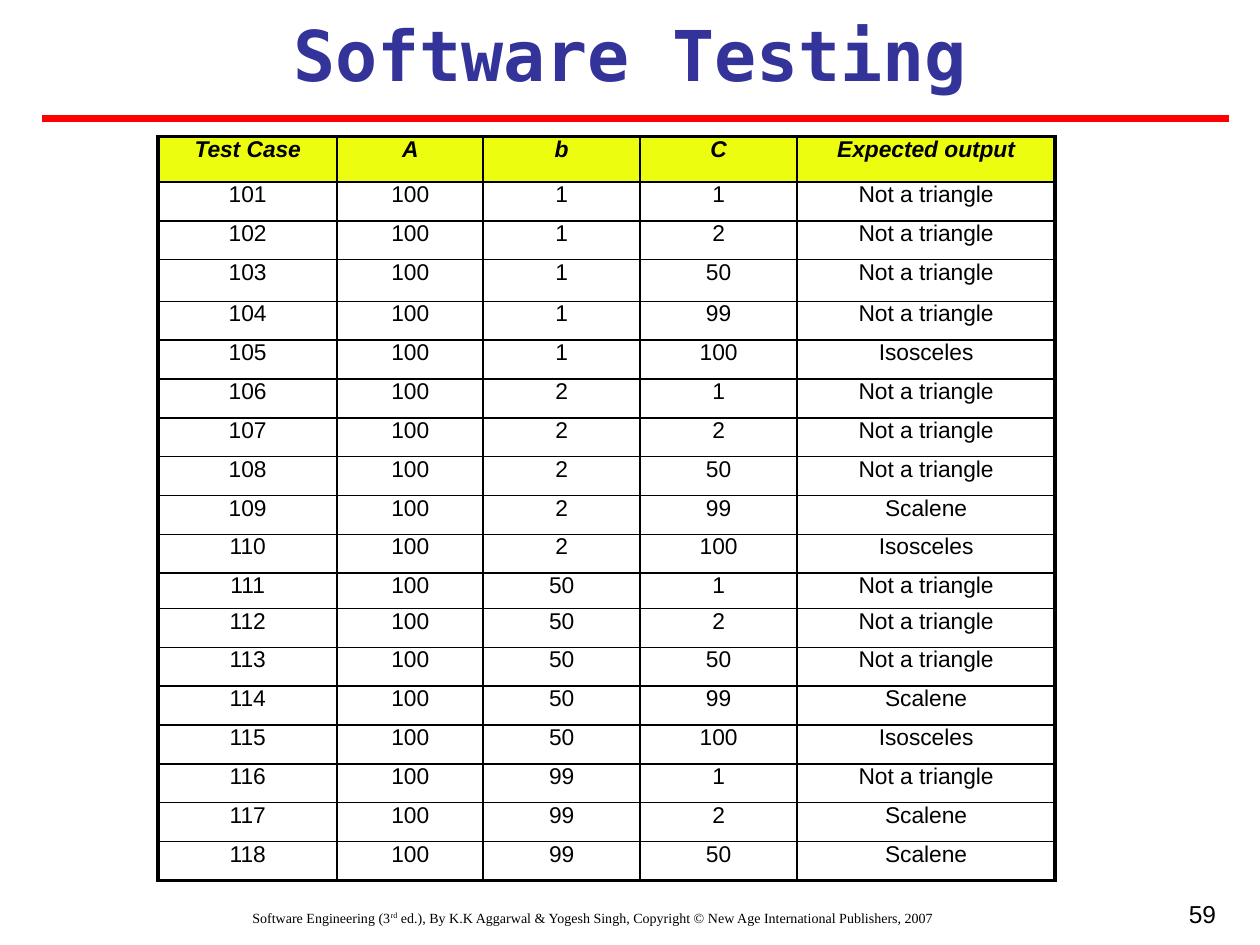
from dataclasses import dataclass

import pptx
import pptx.dml.color
import pptx.enum.shapes
import pptx.enum.text
import pptx.oxml.ns
import pptx.util
from lxml import etree

Pt = pptx.util.Pt
qn = pptx.oxml.ns.qn
Align = pptx.enum.text.PP_ALIGN

COLORS = {
    "text": "000000",
    "title": "333399",
    "rule": "FF0000",
    "header": "ECFD0F",
    "border": "000000",
}
OUTER_BORDER = 2.25
INNER_BORDER = 1
COLUMN_WIDTHS = [102.4, 83.4, 89.7, 89.7, 147.4]
HEADER_HEIGHT = 26
ROW_HEIGHT = 22.2
SPECIAL_HEIGHTS = {"103": 23.8, "111": 20.2}
HEADINGS = ["Test Case", "A", "b", "C", "Expected output"]


@dataclass
class TestCase:
    number: int
    b: int
    c: int
    output: str
    a: int = 100

    def values(self) -> list[str]:
        return [str(value) for value in (self.number, self.a, self.b, self.c, self.output)]


@dataclass
class TextStyle:
    font: str
    size: float
    color: str = "text"
    bold: bool = False
    italic: bool = False


@dataclass
class Label:
    left: float
    top: float
    width: float
    height: float
    runs: list[str]
    style: TextStyle
    alignment: Align


TEST_CASES = [
    TestCase(101, 1, 1, "Not a triangle"),
    TestCase(102, 1, 2, "Not a triangle"),
    TestCase(103, 1, 50, "Not a triangle"),
    TestCase(104, 1, 99, "Not a triangle"),
    TestCase(105, 1, 100, "Isosceles"),
    TestCase(106, 2, 1, "Not a triangle"),
    TestCase(107, 2, 2, "Not a triangle"),
    TestCase(108, 2, 50, "Not a triangle"),
    TestCase(109, 2, 99, "Scalene"),
    TestCase(110, 2, 100, "Isosceles"),
    TestCase(111, 50, 1, "Not a triangle"),
    TestCase(112, 50, 2, "Not a triangle"),
    TestCase(113, 50, 50, "Not a triangle"),
    TestCase(114, 50, 99, "Scalene"),
    TestCase(115, 50, 100, "Isosceles"),
    TestCase(116, 99, 1, "Not a triangle"),
    TestCase(117, 99, 2, "Scalene"),
    TestCase(118, 99, 50, "Scalene"),
]
TITLE_STYLE = TextStyle("DejaVu Sans Mono", 40, "title", bold=True)
HEADER_STYLE = TextStyle("Arial", 13, bold=True, italic=True)
BODY_STYLE = TextStyle("Arial", 13)
LABELS = [
    Label(18, 516, 642, 24, [
        "Software Engineering (3",
        "rd",
        " ed.), By K.K Aggarwal & Yogesh Singh, Copyright © New Age International Publishers, 2007",
    ], TextStyle("Times New Roman", 8), Align.CENTER),
    Label(534, 510, 168, 42, ["59"], TextStyle("Arial", 14), Align.RIGHT),
]


def rgb(name: str) -> pptx.dml.color.RGBColor:
    return pptx.dml.color.RGBColor.from_string(COLORS[name])


def format_paragraph(paragraph, style: TextStyle, alignment: Align) -> None:
    paragraph.alignment = alignment
    for run in paragraph.runs:
        run.font.name = style.font
        run.font.size = Pt(style.size)
        run.font.bold = style.bold
        run.font.italic = style.italic
        run.font.color.rgb = rgb(style.color)


def draw_title(slide, text: str) -> None:
    title = slide.shapes.title
    title.left, title.top, title.width, title.height = Pt(24), Pt(0), Pt(672), Pt(55.4)
    frame = title.text_frame
    frame.text = text
    frame.auto_size = pptx.enum.text.MSO_AUTO_SIZE.NONE
    frame.vertical_anchor = pptx.enum.text.MSO_ANCHOR.TOP
    frame.margin_top = Pt(6.5)
    frame.margin_bottom = Pt(0)
    format_paragraph(frame.paragraphs[0], TITLE_STYLE, Align.CENTER)


def draw_rule(slide) -> None:
    rule = slide.shapes.add_connector(
        pptx.enum.shapes.MSO_CONNECTOR.STRAIGHT, Pt(24), Pt(67.7), Pt(702), Pt(67.7))
    rule.line.color.rgb = rgb("rule")
    rule.line.width = Pt(4.5)
    etree.SubElement(rule._element.spPr, qn("a:effectLst"))


def draw_label(slide, label: Label) -> None:
    shape = slide.shapes.add_textbox(
        Pt(label.left), Pt(label.top), Pt(label.width), Pt(label.height))
    shape.text_frame.word_wrap = True
    paragraph = shape.text_frame.paragraphs[0]
    for text in label.runs:
        paragraph.add_run().text = text
    format_paragraph(paragraph, label.style, label.alignment)
    for run in paragraph.runs[1:2]:
        run.font._element.set("baseline", "30000")


def set_borders(cell, widths: dict[str, float]) -> None:
    properties = cell._tc.get_or_add_tcPr()
    for side, width in widths.items():
        line = etree.SubElement(properties, qn(f"a:ln{side}"), w=str(int(Pt(width))))
        fill = etree.SubElement(line, qn("a:solidFill"))
        etree.SubElement(fill, qn("a:srgbClr"), val=COLORS["border"])


def draw_table(slide, rows: list[list[str]]) -> None:
    heights = [HEADER_HEIGHT] + [SPECIAL_HEIGHTS.get(row[0], ROW_HEIGHT) for row in rows[1:]]
    table = slide.shapes.add_table(
        len(rows), len(HEADINGS), Pt(90.3), Pt(78),
        Pt(sum(COLUMN_WIDTHS)), Pt(sum(heights))).table
    table.first_row = False
    table.horz_banding = False
    for column, width in zip(table.columns, COLUMN_WIDTHS):
        column.width = Pt(width)
    last_row, last_column = len(rows) - 1, len(HEADINGS) - 1
    for row_index, values in enumerate(rows):
        table.rows[row_index].height = Pt(heights[row_index])
        for column_index, text in enumerate(values):
            cell = table.cell(row_index, column_index)
            cell.text_frame.text = text
            cell.margin_top = cell.margin_bottom = Pt(0)
            edges = {
                "L": column_index == 0,
                "R": column_index == last_column,
                "T": row_index == 0,
                "B": row_index == last_row,
            }
            set_borders(cell, {
                side: OUTER_BORDER if outer else INNER_BORDER for side, outer in edges.items()})
            if row_index == 0:
                cell.fill.solid()
                cell.fill.fore_color.rgb = rgb("header")
            else:
                cell.fill.background()
            style = HEADER_STYLE if row_index == 0 else BODY_STYLE
            format_paragraph(cell.text_frame.paragraphs[0], style, Align.CENTER)


def main() -> None:
    presentation = pptx.Presentation()
    presentation.slide_width, presentation.slide_height = Pt(720), Pt(540)
    slide = presentation.slides.add_slide(presentation.slide_layouts[5])
    for label in LABELS:
        draw_label(slide, label)
    draw_title(slide, "Software Testing")
    draw_rule(slide)
    draw_table(slide, [HEADINGS] + [case.values() for case in TEST_CASES])
    presentation.save("out.pptx")


if __name__ == "__main__":
    main()
